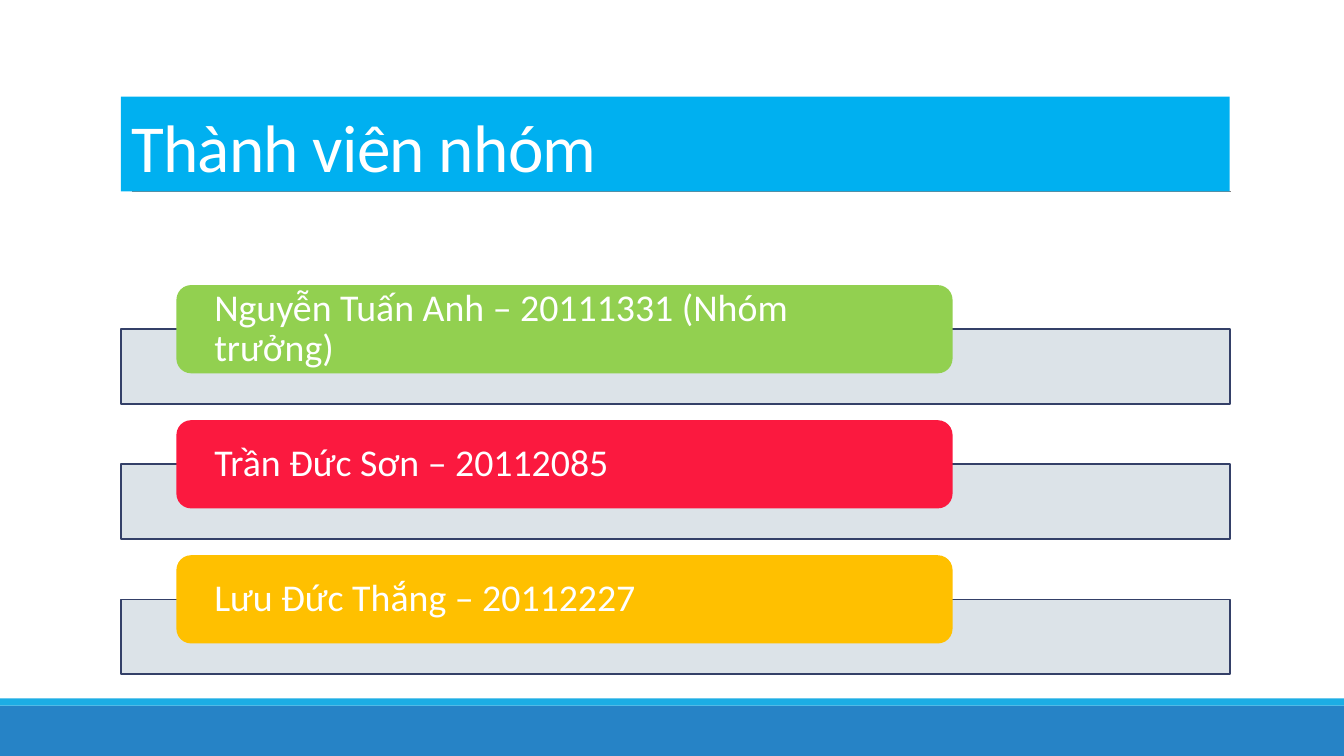
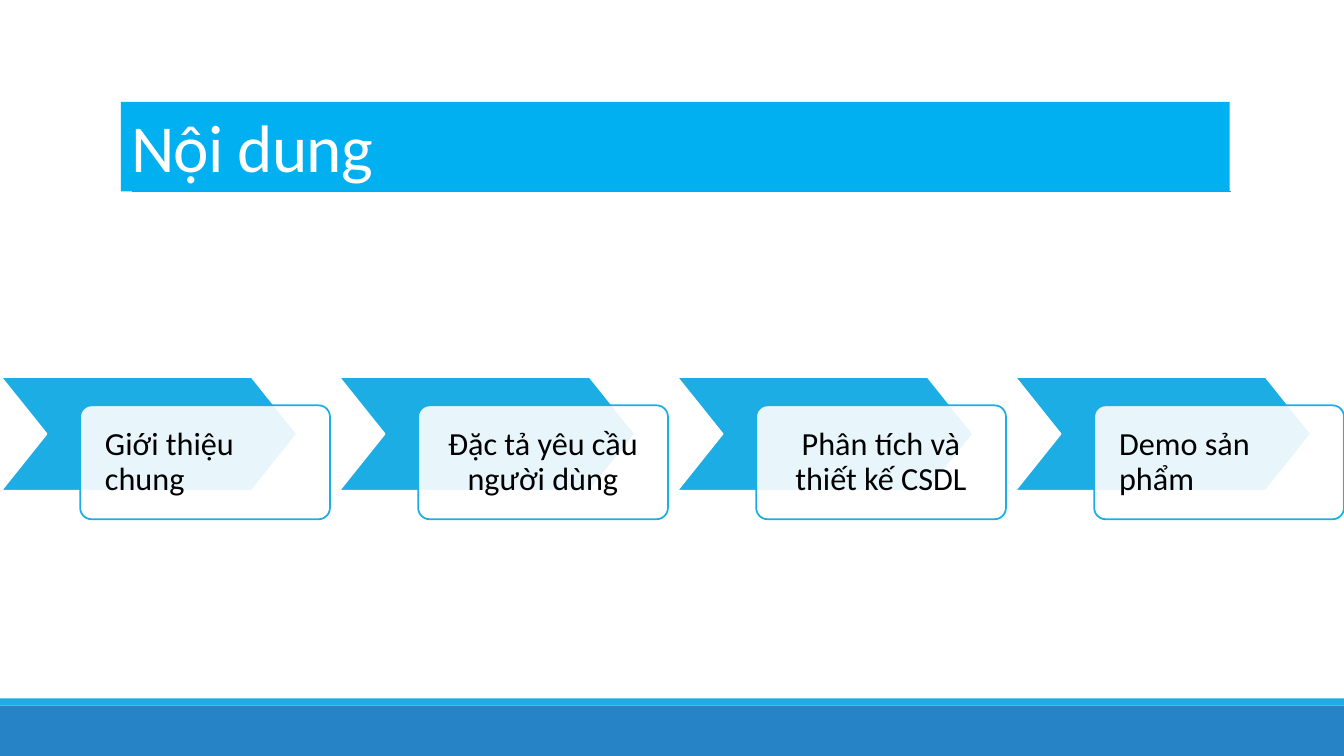
from lxml.etree import SubElement as Sub
from pptx import Presentation
from pptx.dml.color import RGBColor
from pptx.enum.shapes import MSO_CONNECTOR as Link, MSO_SHAPE as Geo
from pptx.enum.text import MSO_ANCHOR as Anchor, PP_ALIGN as Align
from pptx.oxml.ns import qn
from pptx.util import Inches, Pt

WIDE, HIGH = 13.33, 7.5
COLS, ROWS = 80, 45

WHITE, BLACK, GREY = "FFFFFF", "000000", "808080"
SKY, BLUE, DEEP = "00B0F0", "1CADE4", "2683C6"
MIST, NAVY = "D9E0E6", "344068"
LEFT, SPAN, BASE = 7.2, 66, 11.4  # title edge, title width, title bottom


def tint(code):
    return RGBColor.from_string(code)


def col(n):
    return Inches(n * WIDE / COLS)


def row(n):
    return Inches(n * HIGH / ROWS)


class Deck:
    font = "Calibri"

    def __init__(self):
        self.file = Presentation()
        self.file.slide_width = Inches(WIDE)
        self.file.slide_height = Inches(HIGH)
        self.page = None

    def start(self, title, top):
        """Add a slide with its footer bands, rule and title."""
        self.page = self.file.slides.add_slide(self.file.slide_layouts[6])
        self.box(Geo.RECTANGLE, 0, 42, COLS, 3, DEEP)
        self.box(Geo.RECTANGLE, 0, 41.58, COLS, 0.42, BLUE)
        self.rule(LEFT + 0.65, BASE, SPAN - 0.6)
        bar = self.box(Geo.RECTANGLE, LEFT, top, SPAN, BASE - top, SKY)
        self.text(bar, title, 48, WHITE, pad=(0.6, 0.3), lead=0.85,
                  anchor=Anchor.BOTTOM, track=-50)

    def box(self, kind, x, y, w, h, fill, edge=None, clear=None, bend=None):
        """Add a preset shape; clear is its opacity in percent."""
        item = self.page.shapes.add_shape(kind, col(x), row(y), col(w), row(h))
        item.shadow.inherit = False
        item.fill.solid()
        item.fill.fore_color.rgb = tint(fill)
        if clear:
            hue = item._element.spPr.find(qn("a:solidFill"))[0]
            Sub(hue, qn("a:alpha")).set("val", str(clear * 1000))
        if edge:
            item.line.color.rgb = tint(edge)
            item.line.width = Pt(1.25)
        else:
            item.line.fill.background()
        if bend is not None:
            item.adjustments[0] = bend
        return item

    def rule(self, x, y, w):
        """Add a thin level line."""
        line = self.page.shapes.add_connector(
            Link.STRAIGHT, col(x), row(y), col(x + w), row(y))
        line.line.color.rgb = tint(GREY)
        line.line.width = Pt(0.5)
        Sub(line._element.spPr, qn("a:effectLst"))

    def text(self, item, words, size, hue, pad, lead=0.9,
             anchor=Anchor.MIDDLE, align=Align.LEFT, track=None):
        """Write one run of text inside a shape."""
        frame = item.text_frame
        frame.word_wrap = True
        frame.vertical_anchor = anchor
        frame.margin_left = frame.margin_right = col(pad[0])
        frame.margin_top = frame.margin_bottom = row(pad[1])
        para = frame.paragraphs[0]
        para.alignment = align
        para.line_spacing = lead
        run = para.add_run()
        run.text = words
        run.font.name = self.font
        run.font.size = Pt(size)
        run.font.color.rgb = tint(hue)
        if track:
            run._r.get_or_add_rPr().set("spc", str(track))

    def member(self, n, words, fill):
        """Add a coloured label that overlaps a pale bar."""
        y = 16.97 + n * 8.04
        self.box(Geo.RECTANGLE, LEFT, y + 2.63, SPAN, 4.46, MIST, NAVY, 90)
        tab = self.box(Geo.ROUNDED_RECTANGLE, 10.5, y, 46.2, 5.25, fill)
        self.text(tab, words, 27, WHITE, pad=(2, 0.25))

    def step(self, n, words, align):
        """Add a chevron with a card over its lower right."""
        x, y, h = 0.06 + n * 20.12, 22.44, 6.78
        self.box(Geo.CHEVRON, x, y, 17.63, h, BLUE, WHITE, bend=0.4)
        card = self.box(Geo.ROUNDED_RECTANGLE, x + 4.71, y + 1.69, 14.87, h,
                        WHITE, BLUE, 90, 0.1)
        self.text(card, words, 23, BLACK, pad=(1.28, 1.28), align=align)


def main():
    deck = Deck()

    # Team members
    deck.start("Thành viên nhóm", 5.76)
    team = [
        ("Nguyễn Tuấn Anh – 20111331 (Nhóm trưởng)", "92D050"),
        ("Trần Đức Sơn – 20112085", "FB193F"),
        ("Lưu Đức Thắng – 20112227", "FFC000"),
    ]
    for n, (words, fill) in enumerate(team):
        deck.member(n, words, fill)

    # Contents
    deck.start("Nội dung", 6.06)
    steps = [
        ("Giới thiệu chung", Align.LEFT),
        ("Đặc tả yêu cầu người dùng", Align.CENTER),
        ("Phân tích và thiết kế CSDL", Align.CENTER),
        ("Demo sản phẩm", Align.LEFT),
    ]
    for n, (words, align) in enumerate(steps):
        deck.step(n, words, align)

    deck.file.save("out.pptx")


if __name__ == "__main__":
    main()
